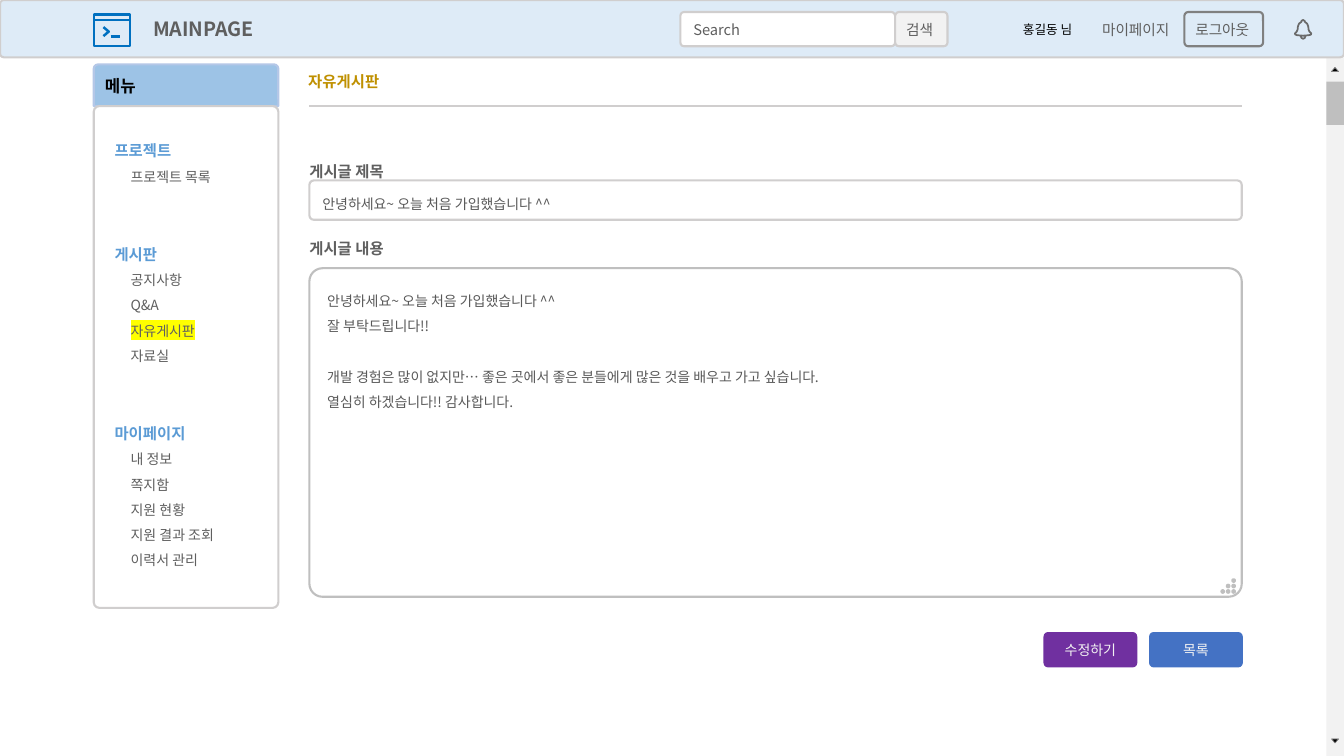
from lxml import etree
from pptx import Presentation
from pptx.dml.color import RGBColor
from pptx.enum.shapes import MSO_CONNECTOR, MSO_SHAPE as SHAPE
from pptx.enum.text import MSO_ANCHOR as ANCHOR, PP_ALIGN as ALIGN
from pptx.oxml.ns import qn
from pptx.util import Pt

FONT = "Noto Sans CJK KR"
GREY, BORDER, SILVER = "5F5F5F", "D0CECE", "BFBFBF"
PITCH = 18
MENU = [
    ("프로젝트", ["프로젝트 목록"]),
    ("게시판", ["공지사항", "Q&A", "자유게시판", "자료실"]),
    ("마이페이지", ["내 정보", "쪽지함", "지원 현황", "지원 결과 조회", "이력서 관리"]),
]
CURRENT = "자유게시판"
GREETING = "안녕하세요~ 오늘 처음 가입했습니다 ^^"
BODY = [
    (GREETING, 0),
    ("잘 부탁드립니다!!", 0),
    ("개발 경험은 많이 없지만… 좋은 곳에서 좋은 분들에게 많은 것을 배우고 가고 싶습니다.", PITCH),
    ("열심히 하겠습니다!! 감사합니다.", 0),
]


def rgb(value):
    return RGBColor.from_string(value)


def paint(sp, fill=None, line=None, weight=1.5):
    sp.shadow.inherit = False
    if fill:
        sp.fill.solid()
        sp.fill.fore_color.rgb = rgb(fill)
    else:
        sp.fill.background()
    if line:
        sp.line.color.rgb = rgb(line)
        sp.line.width = Pt(weight)
    else:
        sp.line.fill.background()


def add_box(slide, kind, box, fill=None, line=None, adj=None, weight=1.5):
    sp = slide.shapes.add_shape(kind, *map(Pt, box))
    paint(sp, fill, line, weight)
    if adj is not None:
        sp.adjustments[0] = adj
    return sp


def frame(sp, left=7.2, top=0, anchor=ANCHOR.MIDDLE):
    tf = sp.text_frame
    tf.word_wrap = True
    tf.vertical_anchor = anchor
    tf.margin_left, tf.margin_right = Pt(left), Pt(0)
    tf.margin_top, tf.margin_bottom = Pt(top), Pt(0)
    return tf


def add_run(p, text, size, color, bold=False, highlight=None):
    r = p.add_run()
    r.text = text
    r.font.size, r.font.bold, r.font.name = Pt(size), bold, FONT
    r.font.color.rgb = rgb(color)
    rpr = r.font._element
    ea = etree.Element(qn("a:ea"), typeface=FONT)
    rpr.find(qn("a:latin")).addnext(ea)
    if highlight:
        mark = etree.Element(qn("a:highlight"))
        etree.SubElement(mark, qn("a:srgbClr"), val=highlight)
        rpr.find(qn("a:solidFill")).addnext(mark)


def write(tf, text, size, color, bold=False, pitch=None, before=0, indent=0,
          align=ALIGN.LEFT, highlight=None):
    p = tf.paragraphs[0]
    if p.runs:
        p = tf.add_paragraph()
    p.alignment = align
    p.space_before = Pt(before)
    if pitch:
        p.line_spacing = Pt(pitch)
    if indent:
        p._p.get_or_add_pPr().set("marL", str(Pt(indent)))
    add_run(p, text, size, color, bold, highlight)


def add_label(slide, box, text, size, color, bold=False, left=0.0, pitch=None,
              anchor=ANCHOR.MIDDLE):
    sp = slide.shapes.add_textbox(*map(Pt, box))
    write(frame(sp, left, 0, anchor), text, size, color, bold, pitch)


def add_strokes(slide, x, y, strokes, color, weight):
    (x0, y0), *rest = strokes[0]
    builder = slide.shapes.build_freeform(Pt(x + x0), Pt(y + y0), 1)
    for i, points in enumerate(strokes):
        if i:
            (x0, y0), *rest = points
            builder.move_to(Pt(x + x0), Pt(y + y0))
        builder.add_line_segments([(Pt(x + a), Pt(y + b)) for a, b in rest], close=False)
    paint(builder.convert_to_shape(), None, color, weight)


def add_console_icon(slide, x, y):
    add_strokes(slide, x, y, [
        [(0, 0), (25.6, 0), (25.6, 22.4), (0, 22.4), (0, 0)],
        [(0, 3.8), (25.6, 3.8)],
        [(6.6, 9), (10.4, 12.2), (6.6, 15.4)],
        [(11.8, 15.6), (18.4, 15.6)],
    ], "0070C0", 1.75)


def add_bell(slide, x, y):
    half = [(0, 0.6), (1.1, 1.2), (1.3, 2), (2.9, 3.2), (3.7, 5.2), (3.9, 7.4),
            (4.6, 9), (5.8, 10.2), (5.6, 11), (4, 11.5), (0, 11.8)]
    mirrored = [(-a, b) for a, b in reversed(half)]
    clapper = [(-1.7, 11.8), (-1.2, 13.4), (0, 14), (1.2, 13.4), (1.7, 11.8)]
    add_strokes(slide, x, y, [half + mirrored, clapper], "6A6A6A", 1.25)


def add_scrollbar(slide, box):
    x, y, w, h = box
    add_box(slide, SHAPE.RECTANGLE, box, "F2F2F2")
    add_box(slide, SHAPE.RECTANGLE, (x, y + 17.3, w, 31), SILVER)
    for top, turn in ((y + 7.2, 0), (y + h - 12.2, 180)):
        sp = add_box(slide, SHAPE.ISOSCELES_TRIANGLE, (x + 3.6, top, 5, 2.9),
                     "000000", "808080", weight=0.5)
        sp.rotation = turn


def add_menu(slide, box):
    x, y, w, h = box
    head = 29.8
    sp = add_box(slide, SHAPE.ROUND_2_SAME_RECTANGLE, (x, y, w, head), "9DC3E6", "B4C7E7", 0.1)
    write(frame(sp), "메뉴", 12, "000000", True)
    sp = add_box(slide, SHAPE.ROUNDED_RECTANGLE, (x, y + head, w, h - head), "FFFFFF", BORDER, 0.03)
    tf = frame(sp, 13.7, 19.2, ANCHOR.TOP)
    for i, (title, items) in enumerate(MENU):
        write(tf, title, 11, "5B9BD5", True, PITCH, before=38 if i else 0)
        for item in items:
            write(tf, item, 10, GREY, pitch=PITCH, indent=11.5,
                  highlight="FFFF00" if item == CURRENT else None)


def add_header(slide, box):
    x, y, w, h = box
    sp = add_box(slide, SHAPE.ROUNDED_RECTANGLE, box, "DEEBF7", BORDER, 0.07)
    write(frame(sp, 108.5), "MAINPAGE", 14, GREY, True)
    add_console_icon(slide, x + 67.3, y + 10.4)
    for left, width, text, fill, line in (
        (486, 153.4, "Search", "FFFFFF", BORDER),
        (639.4, 37.4, "검색", "F2F2F2", BORDER),
        (779.4, 65, "마이페이지", "DEEBF7", None),
        (846, 56.2, "로그아웃", "DEEBF7", "808080"),
    ):
        sp = add_box(slide, SHAPE.ROUNDED_RECTANGLE, (x + left, y + 8.6, width, 24.5),
                     fill, line, 0.11)
        write(frame(sp, 8.6 if text == "Search" else 7.2), text, 10.5, GREY)
    add_label(slide, (x + 723.6, y + 12.2, 55, 18), "홍길동 님", 9, "000000", left=7.2)
    add_bell(slide, x + 930.8, y + 13.7)


def add_grip(slide, right, bottom):
    step, size = 3.9, 1.8
    for row in range(3):
        for col in range(2 - row, 3):
            add_box(slide, SHAPE.OVAL,
                    (right - size - (2 - col) * step, bottom - size - (2 - row) * step, size, size),
                    "FFFFFF", SILVER)


def add_post(slide, box):
    x, y, w, h = box
    add_label(slide, (x - 0.8, y, 125, 18.8), "자유게시판", 11, "BF9000", True)
    rule = slide.shapes.add_connector(MSO_CONNECTOR.STRAIGHT, Pt(x), Pt(y + 27), Pt(x + w), Pt(y + 27))
    rule.line.color.rgb = rgb(BORDER)
    rule.line.width = Pt(1.5)
    etree.SubElement(rule._element.spPr, qn("a:effectLst"))

    for top, text in ((63.7, "게시글 제목"), (118.6, "게시글 내용")):
        add_label(slide, (x, y + top, 100, 17), text, 11, GREY, True, pitch=17, anchor=ANCHOR.TOP)

    sp = add_box(slide, SHAPE.ROUNDED_RECTANGLE, (x, y + 80.3, w, 28.1), "FFFFFF", BORDER, 0.11)
    write(frame(sp, 8.4), GREETING, 10, "595959", pitch=PITCH)
    sp = add_box(slide, SHAPE.ROUNDED_RECTANGLE, (x, y + 143, w, 234.7), "FFFFFF", SILVER, 0.04)
    tf = frame(sp, 10, 8.6, ANCHOR.TOP)
    for text, before in BODY:
        write(tf, text, 10, "595959", pitch=PITCH, before=before)
    add_grip(slide, x + w - 4.9, y + 374.8)

    width = 65.5
    for i, (text, fill) in enumerate((("목록", "4472C4"), ("수정하기", "7030A0"))):
        sp = add_box(slide, SHAPE.ROUNDED_RECTANGLE,
                     (x + w - width - i * 75.4, y + h - 23.8, width, 23.8), fill, fill, 0.11)
        write(frame(sp, 0), text, 10, "F2F2F2", align=ALIGN.CENTER)


def main():
    prs = Presentation()
    prs.slide_width, prs.slide_height = Pt(960), Pt(540)
    slide = prs.slides.add_slide(prs.slide_layouts[6])
    add_scrollbar(slide, (947.5, 41, 12.5, 499))
    add_menu(slide, (67, 46, 131.8, 388.2))
    add_header(slide, (0, 0, 960, 41))
    add_post(slide, (221, 48.6, 666, 427.4))
    prs.save("out.pptx")


if __name__ == "__main__":
    main()
